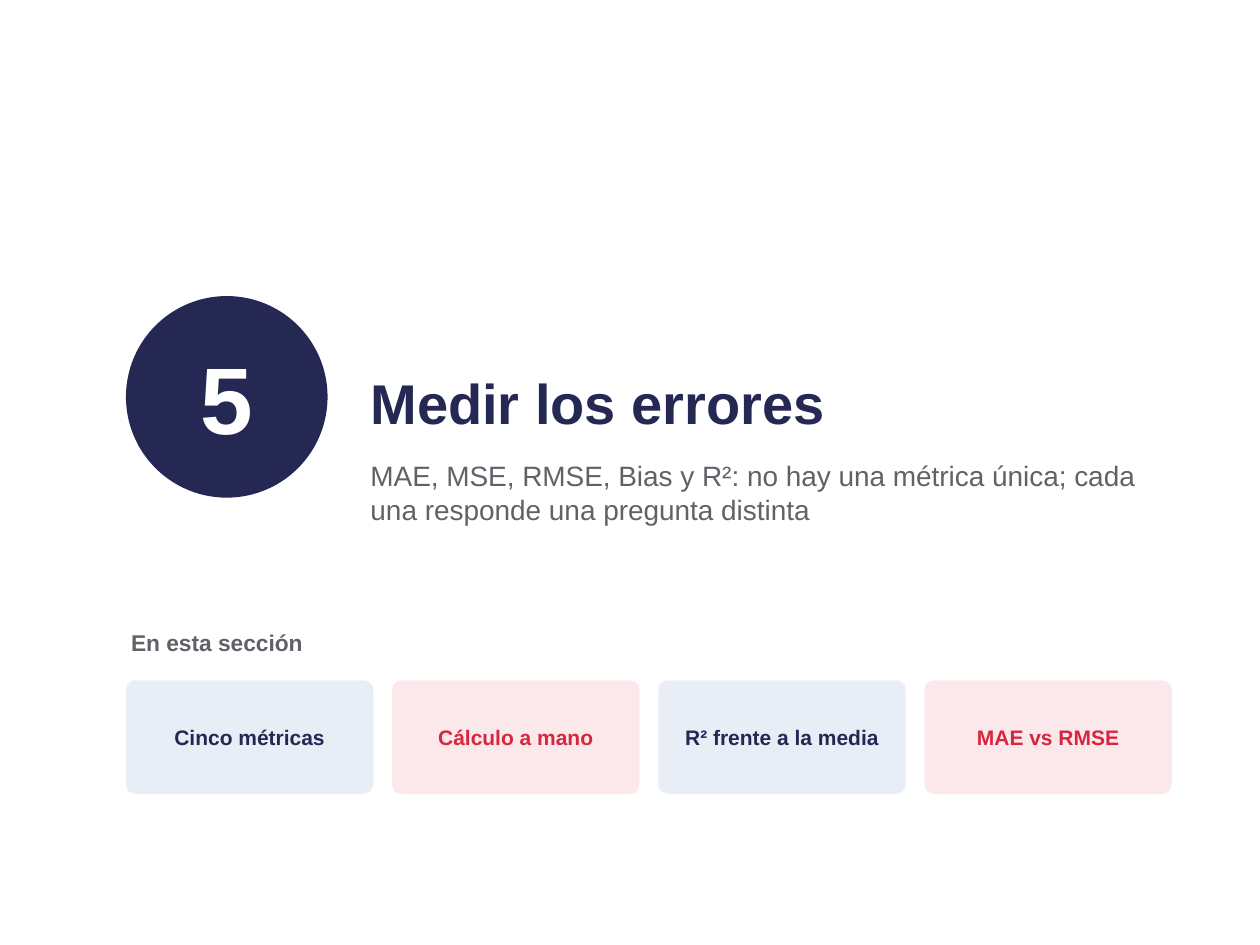
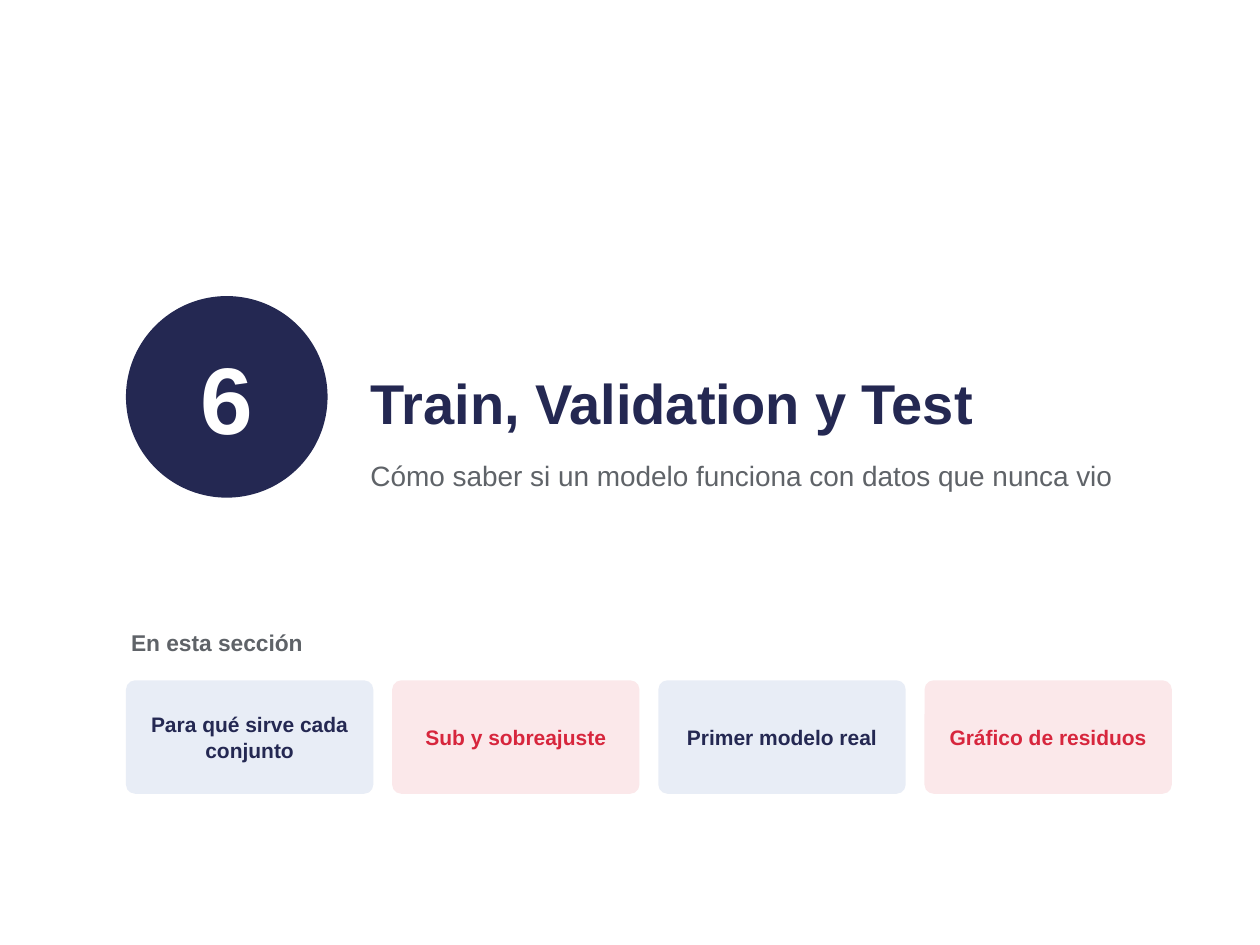
from dataclasses import dataclass

from pptx import Presentation
from pptx import util as u
from pptx.dml.color import RGBColor
from pptx.enum import shapes, text

SECTIONS = [
    {
        "number": "5",
        "title": "Medir los errores",
        "summary": "MAE, MSE, RMSE, Bias y R²: no hay una métrica única; "
                   "cada una responde una pregunta distinta",
        "topics": ["Cinco métricas", "Cálculo a mano", "R² frente a la media", "MAE vs RMSE"],
    },
    {
        "number": "6",
        "title": "Train, Validation y Test",
        "summary": "Cómo saber si un modelo funciona con datos que nunca vio",
        "topics": ["Para qué sirve cada conjunto", "Sub y sobreajuste",
                   "Primer modelo real", "Gráfico de residuos"],
    },
]
TOPICS_LABEL = "En esta sección"


@dataclass(frozen=True)
class Theme:
    font: str = "Arial"
    navy: str = "242852"
    red: str = "D7263D"
    gray: str = "5F6368"
    white: str = "FFFFFF"
    pale_blue: str = "E8EDF6"
    pale_red: str = "FBE8EA"
    number_size: float = 54
    title_size: float = 32
    summary_size: float = 16
    label_size: float = 13
    topic_size: float = 12


THEME = Theme()
TOPIC_STYLES = [(THEME.pale_blue, THEME.navy), (THEME.pale_red, THEME.red)]

SLIDE_SIZE = (720, 540)
LEFT, CONTENT_WIDTH = 72, 597.6
HEADING_LEFT = 208.8
HEADING_WIDTH = LEFT + CONTENT_WIDTH - HEADING_LEFT
NUMBER_BOX = (LEFT, 169.2, 115.2, 115.2)
TITLE_BOX = (HEADING_LEFT, 144, HEADING_WIDTH, 108)
SUMMARY_BOX = (HEADING_LEFT, 259.2, HEADING_WIDTH, 86.4)
LABEL_BOX = (LEFT, 356.4, CONTENT_WIDTH, 28.8)
TOPIC_TOP, TOPIC_HEIGHT, TOPIC_GAP = 388.8, 64.8, 10.8
TOPIC_ROUNDING = 0.08

LEFT_TEXT = {"align": text.PP_ALIGN.LEFT, "inset": 2.88, "after": 4}
CENTERED_TEXT = {"align": text.PP_ALIGN.CENTER, "inset": 5.76, "after": 3,
                 "anchor": text.MSO_ANCHOR.MIDDLE}


def set_all(target, values):
    for name, value in values.items():
        setattr(target, name, value)


def points(box):
    return [u.Pt(length) for length in box]


def move(shape, box):
    set_all(shape, dict(zip(("left", "top", "width", "height"), points(box))))


def write(shape, words, size, color, align, inset, after, bold=True,
          anchor=text.MSO_ANCHOR.TOP):
    frame = shape.text_frame
    frame.text = words
    margins = dict.fromkeys(
        ("margin_left", "margin_top", "margin_right", "margin_bottom"), u.Pt(inset))
    set_all(frame, {"word_wrap": True, "auto_size": text.MSO_AUTO_SIZE.NONE,
                    "vertical_anchor": anchor, **margins})
    paragraph = frame.paragraphs[0]
    set_all(paragraph, {"alignment": align, "space_before": u.Pt(0),
                        "space_after": u.Pt(after), "line_spacing": 1.0})
    font = paragraph.runs[0].font
    set_all(font, {"name": THEME.font, "size": u.Pt(size), "bold": bold})
    font.color.rgb = RGBColor.from_string(color)


def add_filled_shape(slide, kind, box, fill):
    shape = slide.shapes.add_shape(kind, *points(box))
    shape.shadow.inherit = False
    shape.fill.solid()
    shape.fill.fore_color.rgb = RGBColor.from_string(fill)
    shape.line.fill.background()
    return shape


def add_topics(slide, topics):
    width = (CONTENT_WIDTH - TOPIC_GAP * (len(topics) - 1)) / len(topics)
    for index, topic in enumerate(topics):
        fill, color = TOPIC_STYLES[index % len(TOPIC_STYLES)]
        box = (LEFT + index * (width + TOPIC_GAP), TOPIC_TOP, width, TOPIC_HEIGHT)
        card = add_filled_shape(slide, shapes.MSO_SHAPE.ROUNDED_RECTANGLE, box, fill)
        card.adjustments[0] = TOPIC_ROUNDING
        write(card, topic, THEME.topic_size, color, **CENTERED_TEXT)


def add_section(presentation, section):
    slide = presentation.slides.add_slide(presentation.slide_layouts[0])
    title, summary = slide.shapes.title, slide.placeholders[1]
    move(title, TITLE_BOX)
    write(title, section["title"], THEME.title_size, THEME.navy,
          anchor=text.MSO_ANCHOR.BOTTOM, **LEFT_TEXT)
    move(summary, SUMMARY_BOX)
    write(summary, section["summary"], THEME.summary_size, THEME.gray,
          bold=False, **LEFT_TEXT)

    circle = add_filled_shape(slide, shapes.MSO_SHAPE.OVAL, NUMBER_BOX, THEME.navy)
    write(circle, section["number"], THEME.number_size, THEME.white, **CENTERED_TEXT)

    label = slide.shapes.add_textbox(*points(LABEL_BOX))
    write(label, TOPICS_LABEL, THEME.label_size, THEME.gray, **LEFT_TEXT)
    add_topics(slide, section["topics"])


def main():
    presentation = Presentation()
    presentation.slide_width, presentation.slide_height = points(SLIDE_SIZE)
    for section in SECTIONS:
        add_section(presentation, section)
    presentation.save("out.pptx")


if __name__ == "__main__":
    main()
